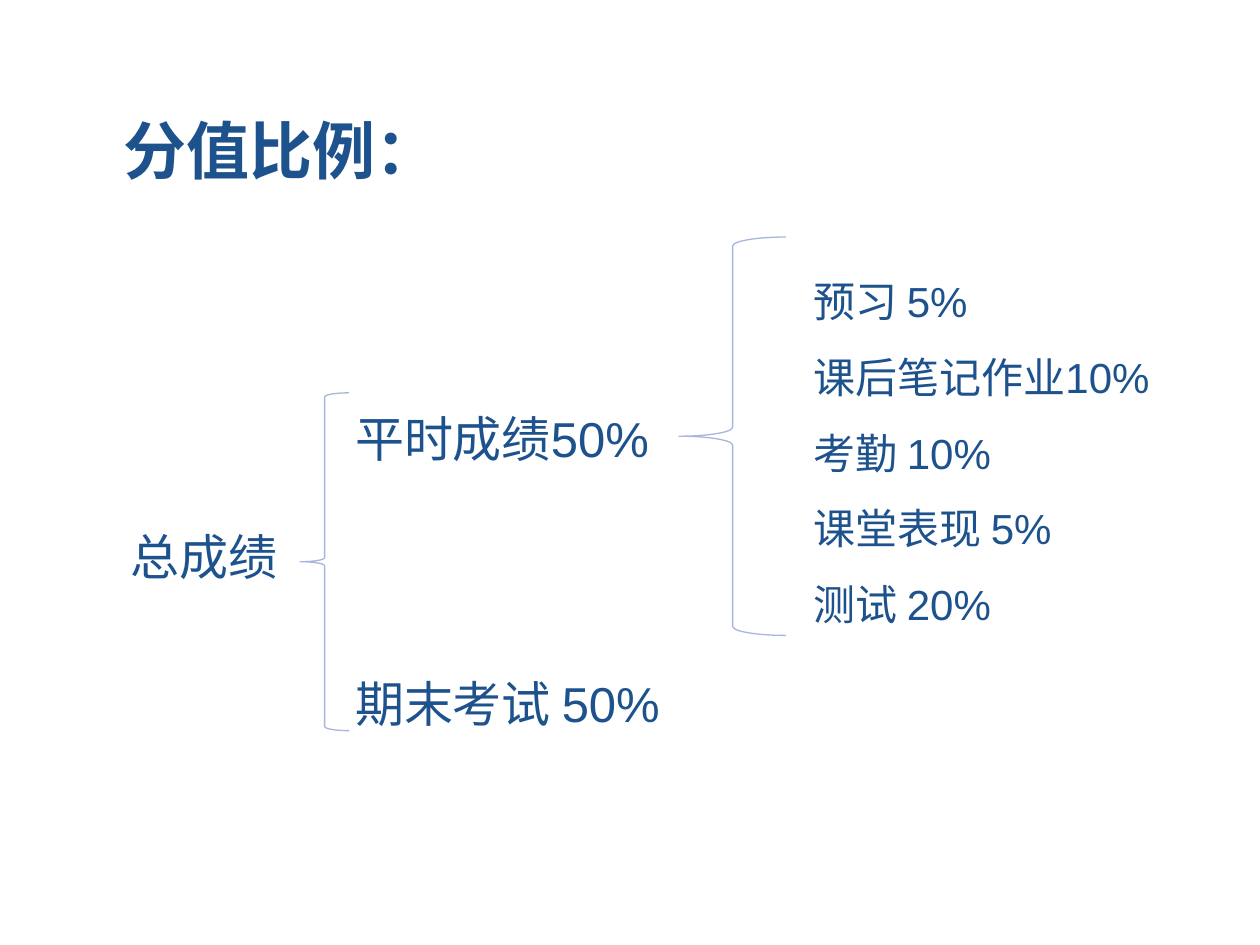
from pptx import Presentation
from pptx.dml.color import RGBColor as RGB
from pptx.enum.shapes import MSO_SHAPE as Kind
from pptx.enum.text import MSO_ANCHOR as Anchor, MSO_AUTO_SIZE as Auto
from pptx.util import Cm, Pt

HUES = {"text": "1D528D", "brace": "A8B5DC"}
FONT = "Arial"

# Text: place in cm, size, line spacing, gap between paragraphs, format, lines
TEXTS = [
    ((2.24, 2.13, 6.96, 2.64), 36, 1, 0, {"bold": True}, ["分值比例："]),
    ((2.39, 10.49, 3.51, 1.45), 28, 1, 0, {}, ["总成绩"]),
    ((6.91, 7.52, 12.27, 9.02), 28, 1.5, 101, {},
     ["平时成绩50%", "期末考试 50%"]),
    ((16.15, 4.93, 7.72, 8.97), 24, 1.5, 0, {},
     ["预习 5%", "课后笔记作业10%", "考勤 10%", "课堂表现 5%", "测试 20%"]),
]

# Braces: place in cm
BRACES = [(6.05, 7.92, 0.99, 6.81), (13.69, 4.78, 2.16, 8.03)]


def put(item, vals):
    for key, val in vals.items():
        setattr(item, key, val)


def add_text(slide, place, size, lead, gap, extra, lines):
    frame = slide.shapes.add_textbox(*map(Cm, place)).text_frame
    put(frame, {"word_wrap": len(lines) > 1, "vertical_anchor": Anchor.TOP,
                "auto_size": Auto.SHAPE_TO_FIT_TEXT})
    for i, line in enumerate(lines):
        para = frame.add_paragraph() if i else frame.paragraphs[0]
        put(para, {"text": line, "line_spacing": float(lead)})
        if i and gap:
            para.space_before = Pt(gap)
        font = para.runs[0].font
        put(font, {"name": FONT, "size": Pt(size), **extra})
        font.color.rgb = RGB.from_string(HUES["text"])


def add_brace(slide, place):
    brace = slide.shapes.add_shape(Kind.LEFT_BRACE, *map(Cm, place))
    brace.shadow.inherit = False
    brace.fill.background()
    brace.line.color.rgb = RGB.from_string(HUES["brace"])
    brace.line.width = Pt(0.75)


def main():
    deck = Presentation()
    put(deck, {"slide_width": Cm(25.4), "slide_height": Cm(19.05)})
    slide = deck.slides.add_slide(deck.slide_layouts[6])

    # Title and score labels
    for text in TEXTS:
        add_text(slide, *text)

    # Braces that split the scores
    for place in BRACES:
        add_brace(slide, place)

    deck.save("out.pptx")


if __name__ == "__main__":
    main()
